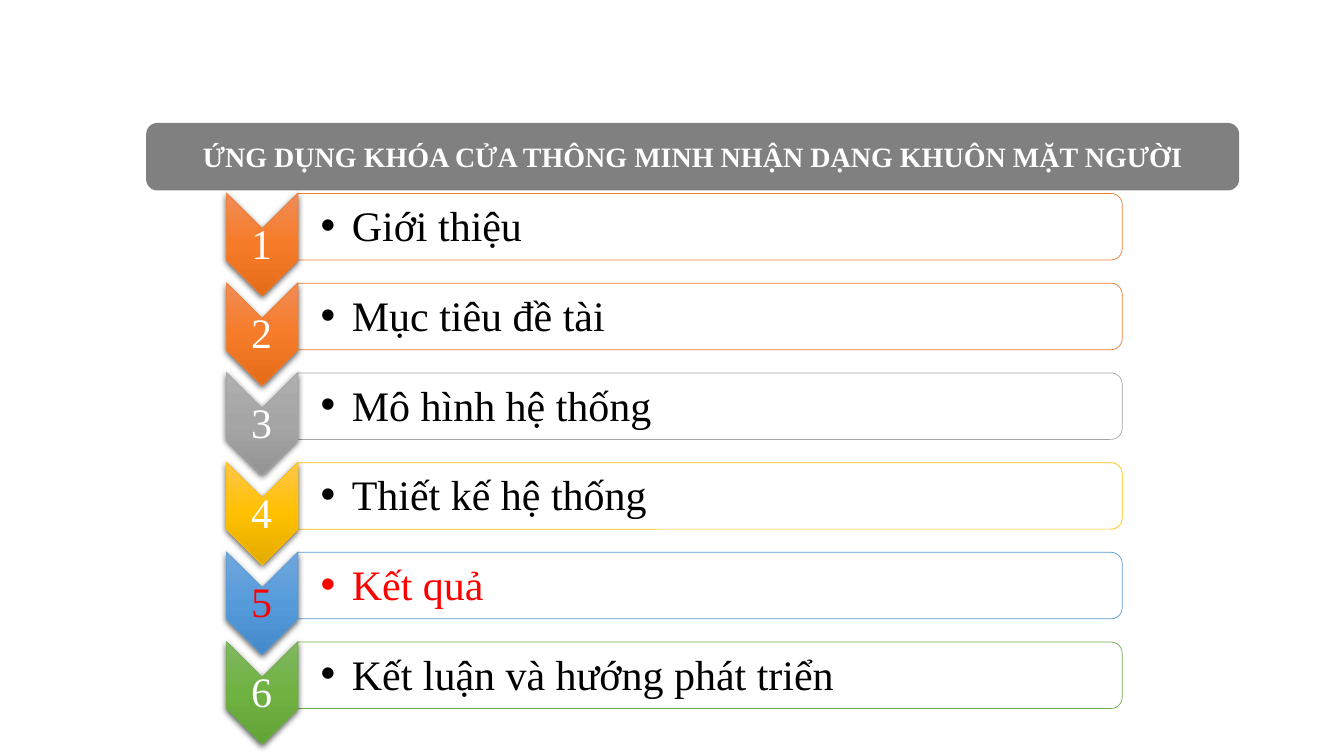
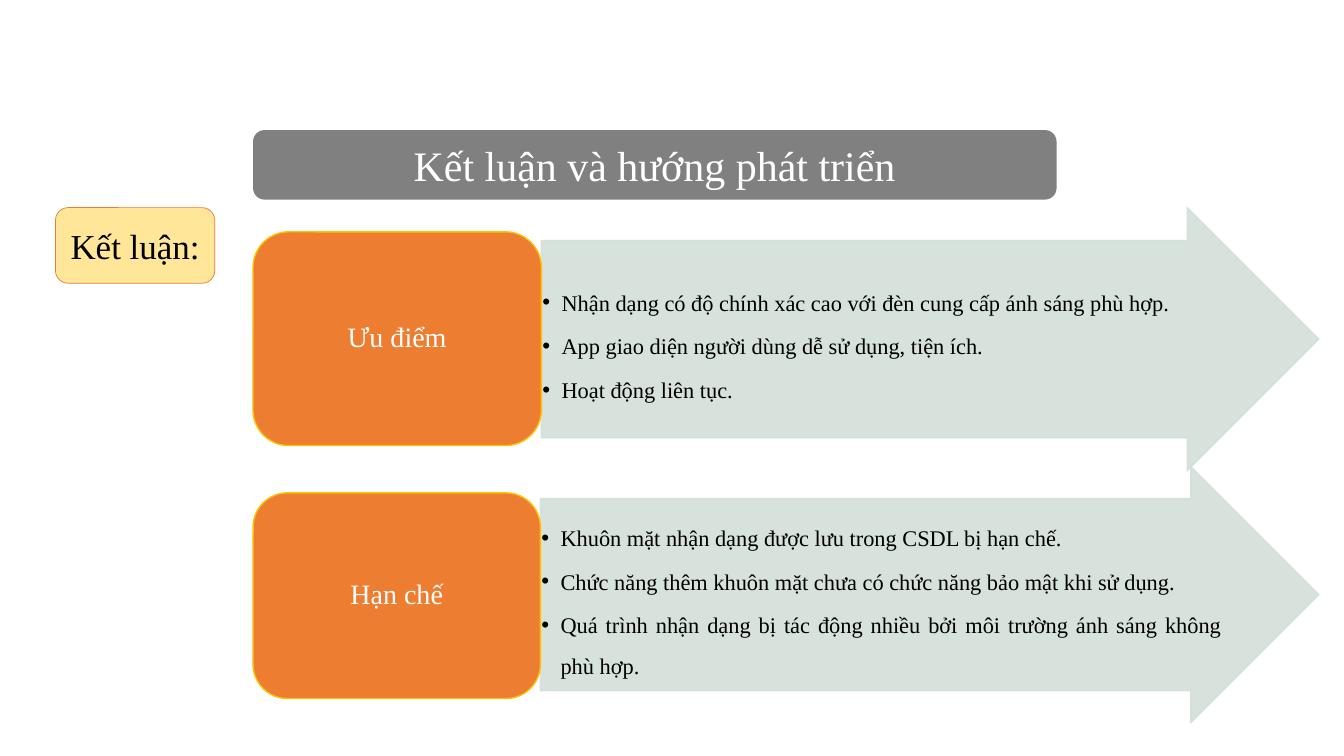
import pptx
import pptx.util
import pptx.oxml
import pptx.oxml.ns
import pptx.dml.color
import pptx.enum.shapes
import pptx.enum.text
import lxml.etree

Inches, Pt = pptx.util.Inches, pptx.util.Pt
KIND = pptx.enum.shapes.MSO_SHAPE
ALIGN = pptx.enum.text.PP_ALIGN
ANCHOR = pptx.enum.text.MSO_ANCHOR
FONT = "Times New Roman"
NS = pptx.oxml.ns.nsdecls("a")
COLORS = {
    "band": "808080", "white": "FFFFFF", "black": "000000", "red": "FF0000",
    "orange": "ED7D31", "gold": "FFC000", "cream": "FFE699", "sage": "D3DFD9",
}


def rgb(name):
    return pptx.dml.color.RGBColor.from_string(COLORS.get(name, name))


def draw(slide, kind, box, fill, line=None, width=0.5):
    """Add a flat shape; box is left, top, width, height in inches."""
    shape = slide.shapes.add_shape(kind, *map(Inches, box))
    shape.shadow.inherit = False
    shape.fill.solid()
    shape.fill.fore_color.rgb = rgb(fill)
    if line:
        shape.line.color.rgb = rgb(line)
        shape.line.width = Pt(width)
    else:
        shape.line.fill.background()
    return shape


def write(shape, lines, size, color="white", align=ALIGN.CENTER, bold=False,
          box=None, inset=0.02, indent=None, space=None, after=0,
          anchor=ANCHOR.MIDDLE):
    """Fill a shape with paragraphs; box moves it, indent hangs its bullets."""
    if box:
        shape.left, shape.top, shape.width, shape.height = map(Inches, box)
    frame = shape.text_frame
    frame.text = "\n".join(lines)
    frame.word_wrap = True
    frame.auto_size = pptx.enum.text.MSO_AUTO_SIZE.NONE
    frame.vertical_anchor = anchor
    frame.margin_left = frame.margin_right = Inches(inset)
    frame.margin_top = frame.margin_bottom = Inches(inset)
    for par in frame.paragraphs:
        par.alignment = align
        par.space_before, par.space_after = Pt(0), Pt(after)
        par.line_spacing = space
        par.font.name, par.font.size = FONT, Pt(size)
        par.font.bold = bold
        par.font.color.rgb = rgb(color)
        if indent:
            props = par._p.get_or_add_pPr()
            props.set("marL", str(Inches(indent)))
            props.set("indent", str(-Inches(indent)))


deck = pptx.Presentation()
deck.slide_width, deck.slide_height = Inches(13.33), Inches(7.5)

# Each slide: layout number, title, title size, bold, band box
heads = [
    (1, "ỨNG DỤNG KHÓA CỬA THÔNG MINH NHẬN DẠNG KHUÔN MẶT NGƯỜI", 20, True,
     (1.45, 1.22, 10.84, 0.67)),
    (3, "Kết luận và hướng phát triển", 30, False, (2.51, 1.29, 7.97, 0.69)),
]
slides = []
for layout, title, size, bold, box in heads:
    slide = deck.slides.add_slide(deck.slide_layouts[layout])
    band = draw(slide, KIND.ROUNDED_RECTANGLE, box, "band")
    band.element.addnext(slide.shapes.title.element)
    write(slide.shapes.title, [title], size, bold=bold, box=box)
    slides.append(slide)
agenda, finish = slides

# Agenda: line colour, then the three stops of the chevron's gradient
topics = [
    ("Giới thiệu", "orange", ("F18C57", "F67B28", "E56C19")),
    ("Mục tiêu đề tài", "orange", ("F18C57", "F67B28", "E56C19")),
    ("Mô hình hệ thống", "A5A5A5", ("AFAFAF", "A5A5A5", "939393")),
    ("Thiết kế hệ thống", "gold", ("FFC64B", "FFC000", "E3AB00")),
    ("Kết quả", "5B9BD5", ("71A6DB", "559BDB", "448ACA")),
    ("Kết luận và hướng phát triển", "70AD47", ("81B861", "6FB242", "62A336")),
]
STEP = 0.89
ACTIVE = 4
for i, (topic, line, stops) in enumerate(topics):
    down = i * STEP
    bar = draw(agenda, KIND.ROUND_2_SAME_RECTANGLE,
               (6.71, -1.84 + down, 0.66, 8.18), "white", line)
    bar.rotation = 90
    mark = draw(agenda, KIND.CHEVRON, (2.09, 2.07 + down, 1.02, 0.71), line, line)
    mark.rotation = 90
    props = mark.element.spPr
    solid = props.find(pptx.oxml.ns.qn("a:solidFill"))
    parts = "".join(f'<a:gs pos="{n * 50000}"><a:srgbClr val="{stop}"/></a:gs>'
                    for n, stop in enumerate(stops))
    props.replace(solid, pptx.oxml.parse_xml(
        f'<a:gradFill {NS} rotWithShape="0"><a:gsLst>{parts}</a:gsLst>'
        '<a:lin ang="5400000" scaled="0"/></a:gradFill>'))
    props.find(pptx.oxml.ns.qn("a:effectLst")).append(pptx.oxml.parse_xml(
        f'<a:outerShdw {NS} blurRad="{Pt(4.5)}" dist="{Pt(1.5)}" dir="5400000" '
        'rotWithShape="0"><a:srgbClr val="000000"><a:alpha val="63000"/>'
        '</a:srgbClr></a:outerShdw>'))
    label = agenda.shapes.add_textbox(
        *map(Inches, (2.24, 2.28 + down, 0.71, 0.31)))
    write(label, [str(i + 1)], 30, "red" if i == ACTIVE else "white", space=0.9)

body = agenda.placeholders[1]
agenda.shapes[-1].element.addnext(body.element)
write(body, [topic for topic, *rest in topics], 30, "black", ALIGN.LEFT,
      box=(3.16, 1.99, 7.9, 5.4), indent=0.31, space=Pt(34),
      after=STEP * 72 - 34, anchor=ANCHOR.TOP)
body.text_frame.paragraphs[ACTIVE].font.color.rgb = rgb("red")

# Conclusion: one arrow with a list and one card for each side
tag = draw(finish, KIND.ROUNDED_RECTANGLE, (0.55, 2.06, 1.58, 0.75),
           "cream", "orange")
write(tag, ["Kết luận:"], 25, "black")
sides = [
    ("Ưu điểm", (2.51, 2.3, 2.86, 2.12), (5.37, 2.06, 7.71, 2.61),
     ["Nhận dạng có độ chính xác cao với đèn cung cấp ánh sáng phù hợp.",
      "App giao diện người dùng dễ sử dụng, tiện ích.",
      "Hoạt động liên tục."]),
    ("Hạn chế", (2.51, 4.89, 2.85, 2.04), (5.36, 4.63, 7.72, 2.54),
     ["Khuôn mặt nhận dạng được lưu trong CSDL bị hạn chế.",
      "Chức năng thêm khuôn mặt chưa có chức năng bảo mật khi sử dụng.",
      "Quá trình nhận dạng bị tác động nhiều bởi môi trường ánh sáng "
      "không phù hợp."]),
]
for n, (name, box, (x, y, w, h), points) in enumerate(sides, 1):
    arrow = draw(finish, KIND.RIGHT_ARROW, (x, y, w, h), "sage", "sage", 1)
    arrow.adjustments[0] = 0.75
    for color in arrow.element.spPr.iter(pptx.oxml.ns.qn("a:srgbClr")):
        lxml.etree.SubElement(color, pptx.oxml.ns.qn("a:alpha"), val="90000")
    body = finish.placeholders[n]
    arrow.element.addnext(body.element)
    write(body, points, 16, "black", ALIGN.JUSTIFY,
          box=(x, y + h / 8, w - h * 3 / 8, h * 0.75), inset=0.01,
          indent=0.19, space=1.5, after=2.4)
    card = draw(finish, KIND.ROUNDED_RECTANGLE, box, "orange", "gold", 1)
    write(card, [name], 20, space=0.9)

deck.save("out.pptx")
